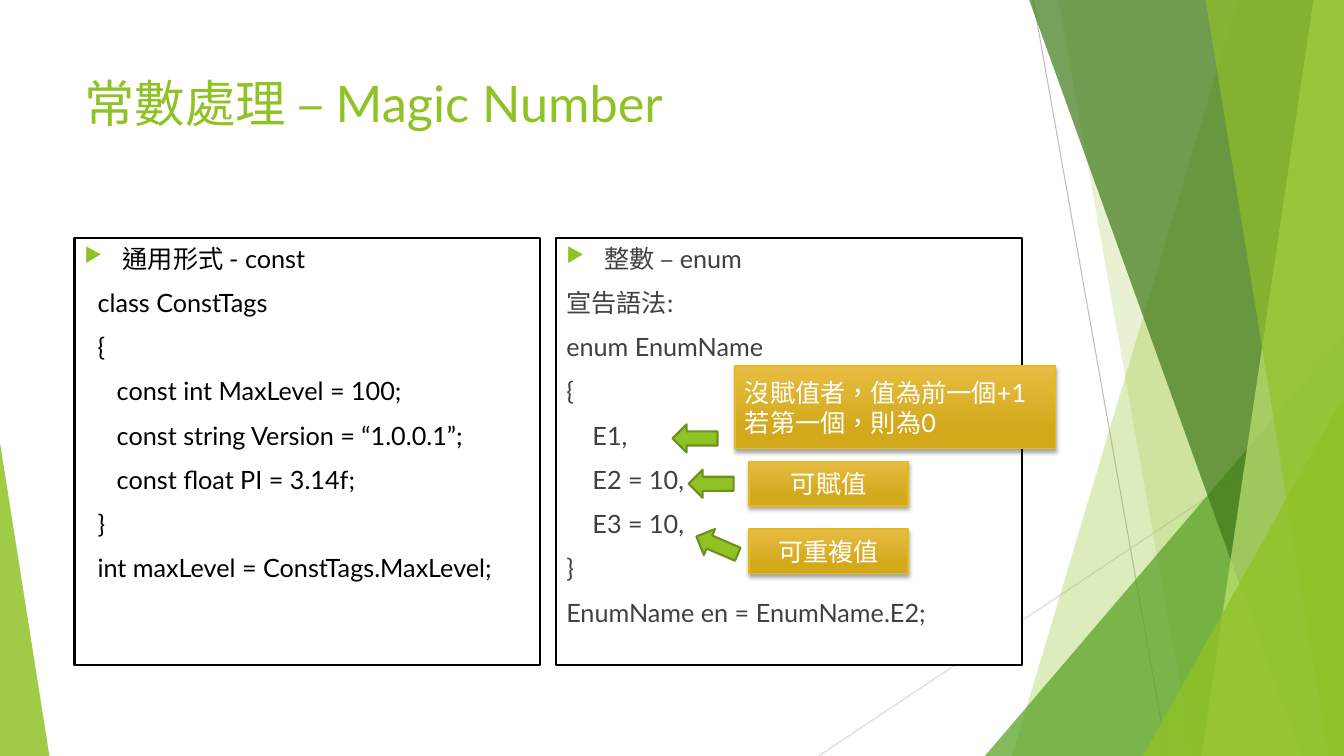
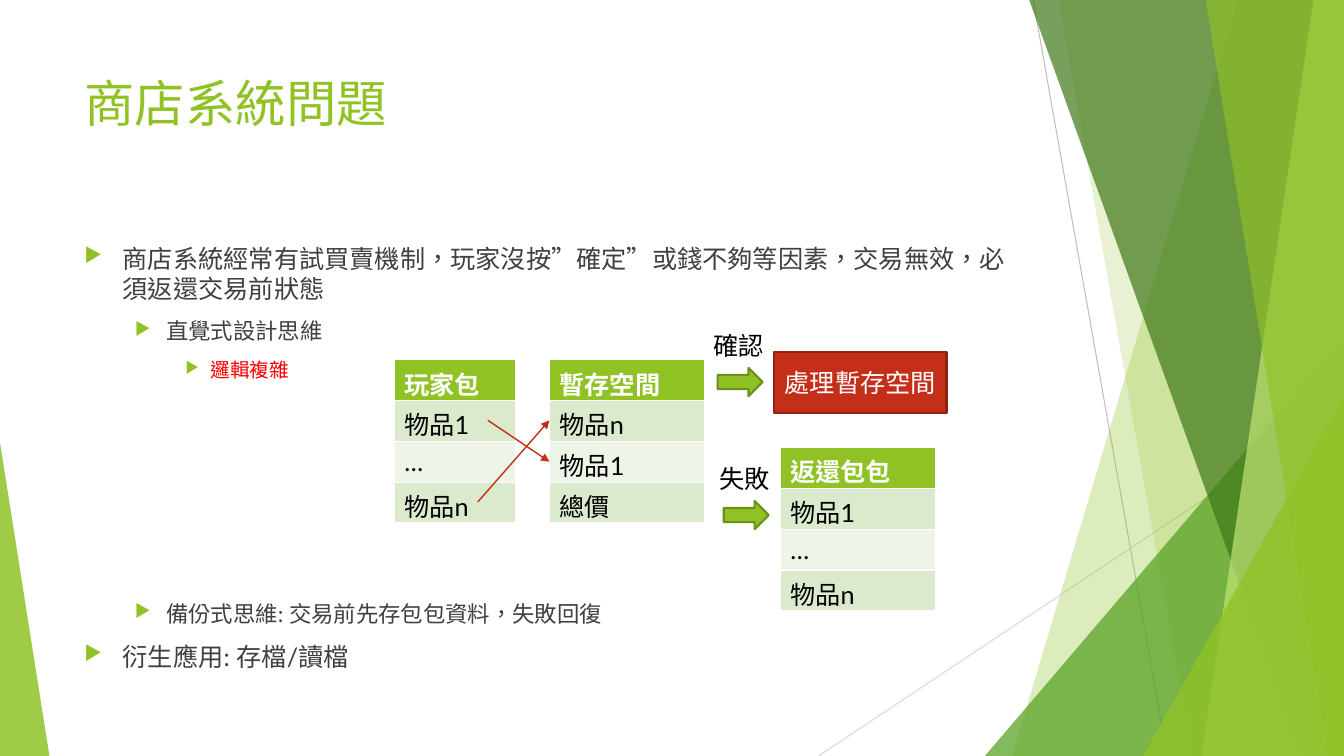
"""Build two slides on constants and on a shop's trade rollback."""
from dataclasses import dataclass
from typing import Any, NamedTuple

from lxml import etree
from pptx import Presentation
from pptx import util as u
from pptx.dml.color import RGBColor
from pptx.enum import lang, shapes, text
from pptx.oxml import ns

KIND = shapes.MSO_SHAPE
ALIGN = text.PP_ALIGN
MID = text.MSO_ANCHOR.MIDDLE


@dataclass(frozen=True)
class Theme:
    """Colours, type sizes and font."""
    font: str = "Lato"
    white: str = "FFFFFF"
    black: str = "000000"
    body: str = "404040"
    green: str = "90C226"
    leaf: str = "54A021"
    moss: str = "3F7819"
    lime: str = "C0E474"
    edge: str = "6B901C"
    red: str = "C42F1A"
    rust: str = "912313"
    alert: str = "FF0000"
    gold: str = "E6B91E"
    glow: tuple[str, str] = ("E7BC43", "D2A91B")
    rows: tuple[str, str] = ("DBE9CD", "EEF4E8")
    rules: tuple[str, str] = ("BFBFBF", "D9D9D9")
    head: int = 36
    main: int = 18
    sub: int = 16
    small: int = 14
    gap: int = 10


T = Theme()


class Box(NamedTuple):
    """Left, top, width and height in percent of the slide."""
    x: float
    y: float
    w: float
    h: float


class Band(NamedTuple):
    """A panel from a slanted left edge to the slide's right side."""
    top: float
    foot: float
    color: str
    alpha: int


class Wedge(NamedTuple):
    """A corner triangle with its apex at one end."""
    box: Box
    apex: int
    color: str
    alpha: int


class Par(NamedTuple):
    """A paragraph, with indents in inches and spacing in points."""
    text: str
    size: int = T.main
    color: str = T.body
    left: float = 0
    hang: float = 0
    before: int = 0
    bold: bool = False
    align: Any = ALIGN.LEFT


class Grid(NamedTuple):
    """A one-column table with a header."""
    x: float
    y: float
    w: float
    items: tuple[str, ...]
    foot: float = 0.05


class Tag(NamedTuple):
    """A gold note."""
    box: Box
    lines: tuple[str, ...]
    align: Any = ALIGN.CENTER


class Arrow(NamedTuple):
    """A block arrow with its turn in degrees."""
    x: float
    y: float
    turn: float = 0


PAGE = Box(0, 0, u.Inches(13.33), u.Inches(7.5))
TITLE = Box(5.55, 8.93, 70.5, 19.2)
BODY = Box(5.55, 31.47, 70.5, 61.73)
CODE = Box(5.55, 31.47, 34.65, 56.53)
STEP = 35.85
ROW = 5.4
TIP = Box(0, 0, 3.35, 3.73)
RULES = (((76.87, 0), (86.85, 100)), ((100, 53.73), (60.9, 100)))
DECOR = (
    Band(92.1, 75.3, T.green, 30),
    Band(78.75, 88.73, T.green, 20),
    Wedge(Box(73.28, 44.4, 26.72, 55.6), 1, T.leaf, 72),
    Band(76.58, 96.83, T.moss, 70),
    Band(97.73, 89.4, T.lime, 70),
    Band(89.7, 98.85, T.green, 65),
    Wedge(Box(85.05, 52.4, 14.95, 47.6), 1, T.green, 80),
    Wedge(Box(0, 58.53, 3.68, 41.47), 0, T.green, 85),
)


def px(x: float) -> int:
    """Turn a share of the width into EMU."""
    return round(PAGE.w * x / 100)


def py(y: float) -> int:
    """Turn a share of the height into EMU."""
    return round(PAGE.h * y / 100)


def area(box: Box) -> tuple[int, int, int, int]:
    """Turn a box into EMU."""
    return px(box.x), py(box.y), px(box.w), py(box.h)


def put(obj: Any, **fmt: Any) -> None:
    """Set each format value on an object."""
    for key, val in fmt.items():
        setattr(obj, key, val)


def sub(node: Any, tag: str, **attrs: Any) -> Any:
    """Add a drawing element."""
    vals = {key: str(val) for key, val in attrs.items()}
    return etree.SubElement(node, ns.qn(f"a:{tag}"), vals)


def paint(fill: Any, color: str, alpha: int = 100) -> None:
    """Fill with one colour, clear in part if asked."""
    fill.solid()
    fill.fore_color.rgb = RGBColor.from_string(color)
    if alpha < 100:
        clr = fill._xPr.find(".//" + ns.qn("a:srgbClr"))
        sub(clr, "alpha", val=alpha * 1000)


def style(shape: Any, color: str, line: str = "", wide: float = 1.5, alpha: int = 100) -> None:
    """Give a shape its fill and line."""
    shape.shadow.inherit = False
    paint(shape.fill, color, alpha)
    if line:
        shape.line.width = u.Pt(wide)
        paint(shape.line.fill, line)
    else:
        shape.line.fill.background()


def write(frame: Any, pars: list[Par], **fmt: Any) -> None:
    """Write paragraphs into a text frame."""
    put(frame, **{"word_wrap": True, **fmt})
    for i, par in enumerate(pars):
        p = frame.add_paragraph() if i else frame.paragraphs[0]
        put(p, alignment=par.align, space_before=u.Pt(par.before))
        ppr = p._p.get_or_add_pPr()
        ppr.set("marL", str(u.Inches(par.left)))
        ppr.set("indent", str(-u.Inches(par.hang)))
        if par.hang:
            sub(sub(ppr, "buClr"), "srgbClr", val=T.green)
            sub(ppr, "buSzPct", val=80000)
            sub(ppr, "buChar", char="▶")
        run = p.add_run()
        run.text = par.text
        put(run.font, name=T.font, size=u.Pt(par.size), bold=par.bold,
            language_id=lang.MSO_LANGUAGE_ID.TRADITIONAL_CHINESE)
        paint(run.font.fill, par.color)


def label(slide: Any, box: Box, pars: list[Par], **fmt: Any) -> None:
    """Add a text box."""
    write(slide.shapes.add_textbox(*area(box)).text_frame, pars, **fmt)


def block(slide: Any, box: Box, color: str, line: str, pars: list[Par], **fmt: Any) -> None:
    """Add a framed rectangle with text."""
    shape = slide.shapes.add_shape(KIND.RECTANGLE, *area(box))
    style(shape, color, line)
    write(shape.text_frame, pars, **fmt)


def link(slide: Any, ends: Any, color: str, wide: float, tip: bool = False) -> None:
    """Add a straight line, with an arrowhead if asked."""
    (x, y), (x2, y2) = ends
    line = slide.shapes.add_connector(shapes.MSO_CONNECTOR.STRAIGHT, px(x), py(y), px(x2), py(y2))
    line.line.width = u.Pt(wide)
    paint(line.line.fill, color)
    if tip:
        sub(line.line._get_or_add_ln(), "tailEnd", type="triangle")
    sub(line._element.spPr, "effectLst")


def point(slide: Any, arrow: Arrow) -> None:
    """Add a block arrow."""
    shape = slide.shapes.add_shape(KIND.RIGHT_ARROW, *area(TIP._replace(x=arrow.x, y=arrow.y)))
    shape.rotation = arrow.turn
    style(shape, T.green, T.edge)


def note(slide: Any, tag: Tag) -> None:
    """Add a gold note with a soft shadow."""
    shape = slide.shapes.add_shape(KIND.RECTANGLE, *area(tag.box))
    style(shape, T.gold, T.gold, 1)
    shape.fill.gradient()
    shape.fill.gradient_angle = 270
    for stop, color, pos in zip(shape.fill.gradient_stops, T.glow, (0, 0.78)):
        stop.color.rgb = RGBColor.from_string(color)
        stop.position = pos
    glow = sub(shape._element.spPr.find(ns.qn("a:effectLst")), "outerShdw", blurRad=u.Pt(3),
               dist=u.Pt(2), dir=5400000, algn="ctr", rotWithShape=0)
    sub(sub(glow, "srgbClr", val=T.black), "alpha", val=35000)
    pars = [Par(line, color=T.white, align=tag.align) for line in tag.lines]
    write(shape.text_frame, pars, vertical_anchor=MID)


def table(slide: Any, grid: Grid) -> None:
    """Add a one-column table."""
    box = Box(grid.x, grid.y, grid.w, ROW * len(grid.items))
    tab = slide.shapes.add_table(len(grid.items), 1, *area(box)).table
    for i, item in enumerate(grid.items):
        cell = tab.cell(i, 0)
        cell.margin_bottom = u.Inches(grid.foot)
        paint(cell.fill, T.rows[(i - 1) % 2] if i else T.green)
        write(cell.text_frame, [Par(item, color=T.black if i else T.white, bold=not i)])


def start(deck: Any, title: str) -> Any:
    """Add a slide with the shared decor and title."""
    slide = deck.slides.add_slide(deck.slide_layouts[6])
    for ends, color in zip(RULES, T.rules):
        link(slide, ends, color, 0.75)
    for part in DECOR:
        if isinstance(part, Band):
            pen = slide.shapes.build_freeform(px(part.top), 0)
            pen.add_line_segments([(px(100), 0), (px(100), py(100)), (px(part.foot), py(100))])
            shape = pen.convert_to_shape()
        else:
            shape = slide.shapes.add_shape(KIND.ISOSCELES_TRIANGLE, *area(part.box))
            shape.adjustments[0] = part.apex
        style(shape, part.color, alpha=part.alpha)
    label(slide, TITLE, [Par(title, T.head, T.green)])
    return slide


def consts(deck: Any) -> None:
    """Build the slide on constants."""
    slide = start(deck, "常數處理 – Magic Number")
    left = (("通用形式 - const", 0.38), ("class ConstTags", 0.13), ("{", 0.13),
            ("const int MaxLevel = 100;", 0.32), ("const string Version = “1.0.0.1”;", 0.32),
            ("const float PI = 3.14f;", 0.32), ("}", 0.13),
            ("int maxLevel = ConstTags.MaxLevel;", 0.13))
    right = (("整數 – enum", 0.38), ("宣告語法:", 0), ("enum EnumName", 0), ("{", 0), ("E1,", 0.26),
             ("E2 = 10,", 0.26), ("E3 = 10,", 0.26), ("}", 0), ("EnumName en = EnumName.E2;", 0))
    for i, (lines, color) in enumerate(((left, T.black), (right, T.body))):
        pars = [Par(line, color=color, left=ind, hang=0 if n else ind, before=T.gap)
                for n, (line, ind) in enumerate(lines)]
        block(slide, CODE._replace(x=CODE.x + i * STEP), T.white, T.black, pars,
              vertical_anchor=text.MSO_ANCHOR.TOP)
    for tag in (Tag(Box(55.73, 61.07, 11.85, 5.87), ("可賦值",)),
                Tag(Box(55.73, 70, 11.85, 5.87), ("可重複值",)),
                Tag(Box(54.68, 48.4, 23.85, 10.93),
                    ("沒賦值者，值為前一個+1", "若第一個，則為0"), ALIGN.LEFT)):
        note(slide, tag)
    for arrow in (Arrow(50.03, 56.13, 180), Arrow(51.23, 62.13, 180), Arrow(51.68, 70.27, 203.3)):
        point(slide, arrow)


def shop(deck: Any) -> None:
    """Build the slide on the shop system."""
    slide = start(deck, "商店系統問題")
    label(slide, BODY, [
        Par("商店系統經常有試買賣機制，玩家沒按”確定”或錢不夠等因素，交易無效，必須返還交易前狀態",
            left=0.38, hang=0.38, before=T.gap),
        Par("直覺式設計思維", T.sub, left=0.81, hang=0.31, before=T.gap),
        Par("邏輯複雜", T.small, T.alert, 1.25, 0.25, T.gap),
        Par("備份式思維: 交易前先存包包資料，失敗回復", T.sub, left=0.81, hang=0.31, before=156),
        Par("衍生應用: 存檔/讀檔", left=0.38, hang=0.38, before=T.gap)])
    for grid in (Grid(29.33, 47.6, 9, ("玩家包", "物品1", "…", "物品n")),
                 Grid(40.88, 47.6, 11.55, ("暫存空間", "物品n", "物品1", "總價")),
                 Grid(58.05, 59.2, 11.55, ("返還包包", "物品1", "…", "物品n"), 0)):
        table(slide, grid)
    for ends in (((36.3, 55.6), (40.88, 61.07)), ((35.55, 66.4), (40.88, 55.6))):
        link(slide, ends, T.red, 1, True)
    for word, arrow in (("確認", Arrow(53.4, 48.67)), ("失敗", Arrow(53.85, 66.27))):
        point(slide, arrow)
        label(slide, Box(arrow.x - 1.05, arrow.y - 5.7, 5.33, 5.33),
              [Par(word, color=T.black)], word_wrap=False)
    block(slide, Box(57.6, 46.53, 12.83, 8.13), T.red, T.rust,
          [Par("處理暫存空間", color=T.white, align=ALIGN.CENTER)], vertical_anchor=MID)


def main() -> None:
    """Build and save the deck."""
    deck = Presentation()
    put(deck, slide_width=PAGE.w, slide_height=PAGE.h)
    consts(deck)
    shop(deck)
    deck.save("out.pptx")


if __name__ == "__main__":
    main()
